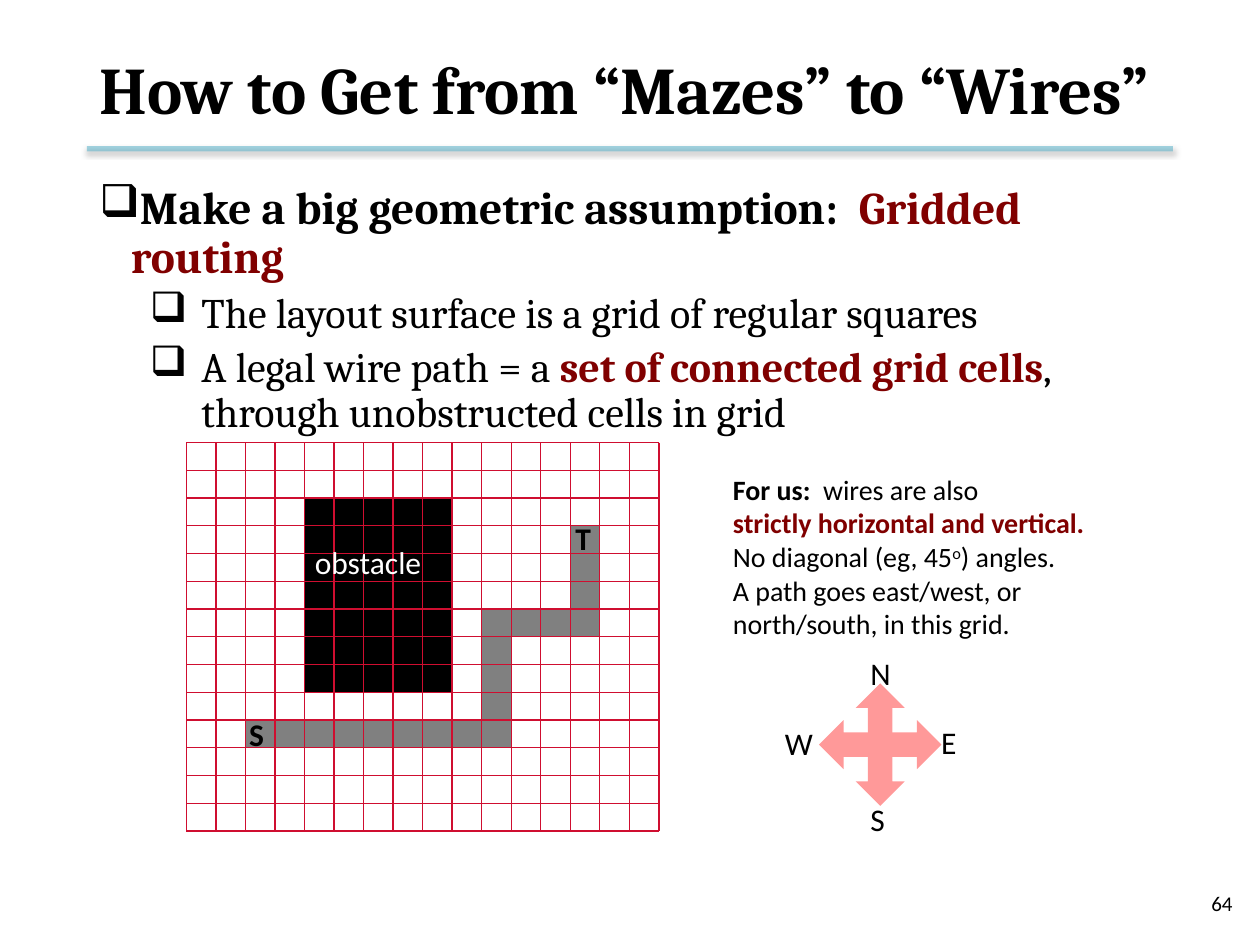
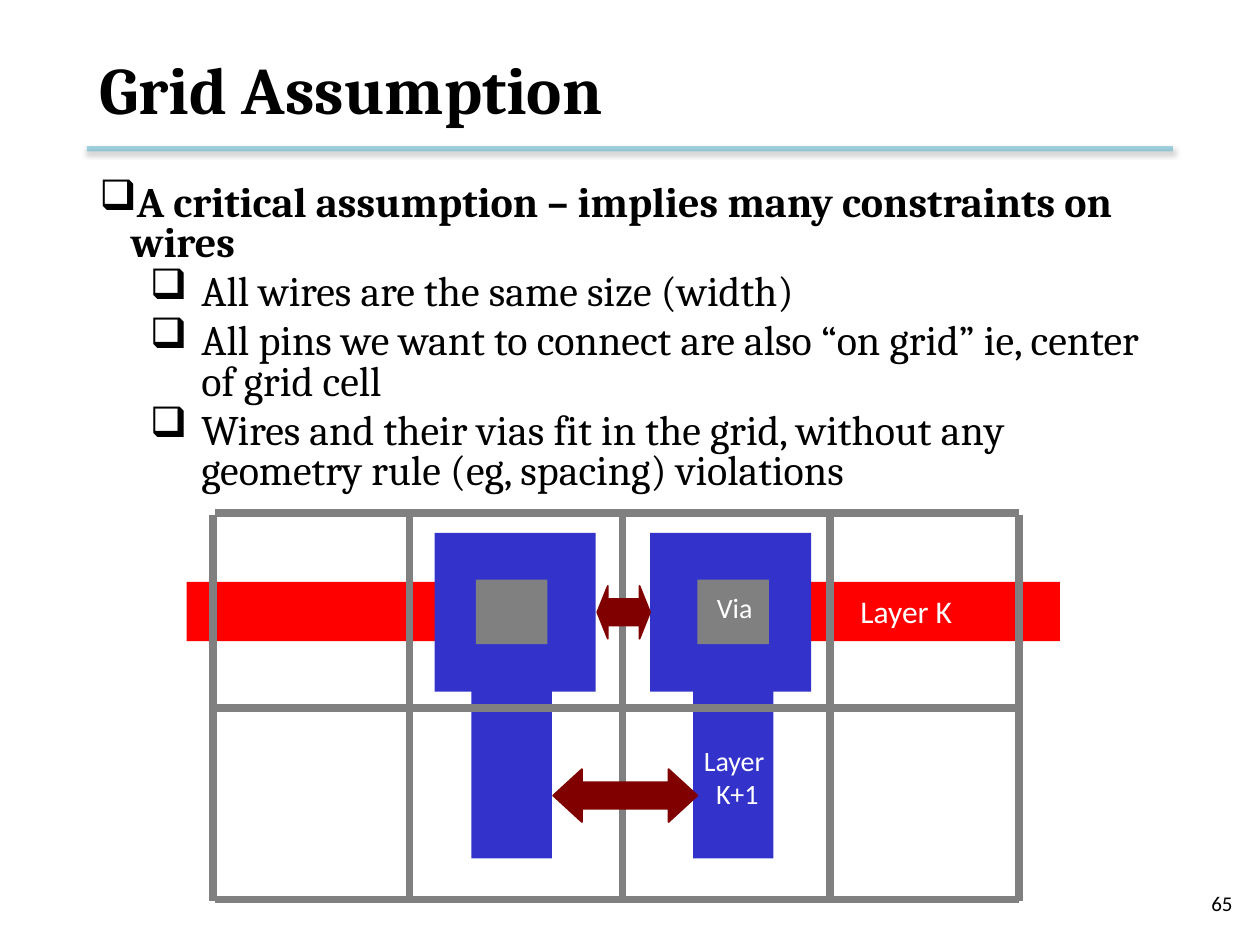
import pptx
import pptx.dml.color
import pptx.enum.shapes
import pptx.enum.text
import pptx.oxml.ns
import pptx.util
from lxml import etree

Pt = pptx.util.Pt
RGBColor = pptx.dml.color.RGBColor
SHAPE = pptx.enum.shapes.MSO_SHAPE
ALIGN = pptx.enum.text.PP_ALIGN
ANCHOR = pptx.enum.text.MSO_ANCHOR
qn = pptx.oxml.ns.qn

BLACK = RGBColor(0x00, 0x00, 0x00)
WHITE = RGBColor(0xFF, 0xFF, 0xFF)
MAROON = RGBColor(0x80, 0x00, 0x00)
GRAY = RGBColor(0x80, 0x80, 0x80)
CRIMSON = RGBColor(0xCF, 0x0E, 0x30)
PINK = RGBColor(0xFF, 0x99, 0x99)
RED = RGBColor(0xFF, 0x00, 0x00)
BLUE = RGBColor(0x33, 0x33, 0xCC)
TEAL = RGBColor(0x4B, 0xAC, 0xC6)

HEADING_FONT = "Cambria"
LABEL_FONT = "Calibri"
MARGIN = 49.7
CONTENT_WIDTH = 620.6
# Left margin and first-line indent of each bullet level
BULLET_INDENTS = [(18, -32.4), (58.3, -29.5)]


def style_font(font, name, size, color=BLACK, bold=False):
    font.name = name
    font.size = Pt(size)
    font.bold = bold
    font.color.rgb = color


def add_spans(para, spans, name, size):
    """Append (text, colour, bold) spans to a paragraph."""
    for text, color, bold in spans:
        span = para.add_run()
        span.text = text
        style_font(span.font, name, size, color, bold)


def add_box(page, left, top, width, height):
    box = page.shapes.add_textbox(Pt(left), Pt(top), Pt(width), Pt(height))
    box.text_frame.word_wrap = True
    return box


def add_label(page, left, top, width, text, size=18, color=BLACK, bold=False,
              align=ALIGN.LEFT):
    lines = text.split("\n")
    box = add_box(page, left, top, width, 7.2 + 1.22 * size * len(lines))
    box.text_frame.text = text
    for para in box.text_frame.paragraphs:
        para.alignment = align
        style_font(para.runs[0].font, LABEL_FONT, size, color, bold)
    return box


def add_block(page, left, top, width, height, fill, kind=SHAPE.RECTANGLE,
              line=None, line_width=0.75):
    block = page.shapes.add_shape(kind, Pt(left), Pt(top), Pt(width), Pt(height))
    block.shadow.inherit = False
    block.fill.solid()
    block.fill.fore_color.rgb = fill
    if line is None:
        block.line.fill.background()
    else:
        block.line.color.rgb = line
        block.line.width = Pt(line_width)
    return block


def add_line(page, start, end, color, width):
    line = page.shapes.add_connector(
        pptx.enum.shapes.MSO_CONNECTOR.STRAIGHT,
        Pt(start[0]), Pt(start[1]), Pt(end[0]), Pt(end[1]))
    line.line.color.rgb = color
    line.line.width = Pt(width)
    etree.SubElement(line._element.spPr, qn("a:effectLst"))
    return line


def add_title_rule(page):
    """Half-transparent line with a soft shadow under the title."""
    rule = add_line(page, (MARGIN, 85), (MARGIN + CONTENT_WIDTH, 85), TEAL, 3)
    properties = rule._element.spPr
    line_color = properties.find(".//" + qn("a:srgbClr"))
    etree.SubElement(line_color, qn("a:alpha"), val="50000")
    shadow = etree.SubElement(
        properties.find(qn("a:effectLst")), qn("a:outerShdw"),
        blurRad=str(Pt(3.1)), dist=str(Pt(1.6)), dir="5400000", rotWithShape="0")
    shadow_color = etree.SubElement(shadow, qn("a:srgbClr"), val="000000")
    etree.SubElement(shadow_color, qn("a:alpha"), val="38000")


def add_page(deck, title_text, number):
    """Title-only slide with the shared title, rule and page number."""
    page = deck.slides.add_slide(deck.slide_layouts[5])
    add_title_rule(page)
    title = page.shapes.title
    title.left, title.top = Pt(MARGIN), Pt(12.2)
    title.width, title.height = Pt(CONTENT_WIDTH), Pt(76.3)
    title.text_frame.text = title_text
    title.text_frame.vertical_anchor = ANCHOR.MIDDLE
    para = title.text_frame.paragraphs[0]
    para.alignment = ALIGN.LEFT
    style_font(para.runs[0].font, HEADING_FONT, 38, bold=True)
    footer = add_label(page, 543.6, 501.8, 167.8, str(number), 12,
                       align=ALIGN.RIGHT)
    footer.height = Pt(28.8)
    footer.text_frame.vertical_anchor = ANCHOR.MIDDLE
    return page


def add_bullets(page, height, line_spacing, bullets):
    """Bullets are (level, size, spans)."""
    frame = add_box(page, MARGIN, 102.2, CONTENT_WIDTH, height).text_frame
    for index, (level, size, spans) in enumerate(bullets):
        para = frame.add_paragraph() if index else frame.paragraphs[0]
        para.level = level
        para.line_spacing = line_spacing
        if index:
            para.space_before = Pt(5)
        margin, indent = BULLET_INDENTS[level]
        properties = para._p.get_or_add_pPr()
        properties.set("marL", str(Pt(margin)))
        properties.set("indent", str(Pt(indent)))
        etree.SubElement(properties, qn("a:buChar"), char="❑")
        add_spans(para, spans, HEADING_FONT, size)


def add_routing_grid(page, left, top, width, height):
    columns, rows = 16, 14
    cell_width, cell_height = width / columns, height / rows

    def corner(column, row):
        return left + column * cell_width, top + row * cell_height

    def fill_cells(column, row, across, down, color, line=None):
        add_block(page, *corner(column, row), across * cell_width,
                  down * cell_height, color, line=line)

    fill_cells(4, 2, 5, 7, BLACK, BLACK)
    for wire in [(13, 3, 1, 4), (10, 6, 4, 1), (10, 6, 1, 5), (2, 10, 9, 1)]:
        fill_cells(*wire, GRAY)
    for column in range(columns + 1):
        add_line(page, corner(column, 0), corner(column, rows), CRIMSON, 0.75)
    for row in range(rows + 1):
        add_line(page, corner(0, row), corner(columns, row), CRIMSON, 0.75)
    add_label(page, left + 28.8, top + 152, 26.6, "S", bold=True)
    add_label(page, left + 215.3, top + 40.3, 26.6, "T", bold=True)
    add_label(page, left + 66.3, top + 54, 81.4, "obstacle", color=WHITE)


def add_direction_note(page, left, top):
    frame = add_box(page, left, top, 247.7, 104.4).text_frame
    lines = [
        [("For us: ", BLACK, True), (" wires are also", BLACK, False)],
        [("strictly horizontal and vertical.", MAROON, True)],
        [("No diagonal (eg, 45", BLACK, False), ("o", BLACK, False),
         (") angles.", BLACK, False)],
        [("A path goes east/west, or", BLACK, False)],
        [("north/south, in this grid.", BLACK, False)],
    ]
    for index, spans in enumerate(lines):
        para = frame.add_paragraph() if index else frame.paragraphs[0]
        add_spans(para, spans, LABEL_FONT, 16)
    degree = frame.paragraphs[2].runs[1]
    degree.font._element.set("baseline", "30000")


def add_compass(page, center_x, center_y):
    length, thickness = 70, 28
    for rotation in (0, 90):
        arrow = add_block(page, center_x - thickness / 2, center_y - length / 2,
                          thickness, length, PINK, SHAPE.UP_DOWN_ARROW)
        arrow.rotation = rotation
    for text, dx, dy in [("N", -12.7, -55.4), ("S", -12.7, 28.1),
                         ("E", 27.7, -15.8), ("W", -61.6, -15.1)]:
        add_label(page, center_x + dx, center_y + dy, 32, text)


def add_via_wire(page, left, top, stem_offset):
    """Upper-layer wire: stem, landing pad and via."""
    add_block(page, left + stem_offset, top + 85, 46, 101, BLUE)
    add_block(page, left, top, 92, 90.7, BLUE)
    add_block(page, left + stem_offset + 2.5, top + 26.8, 41, 36.8, GRAY)


def add_spacing_arrow(page, left, top, width, head):
    arrow = add_block(page, left, top, width, 30.2, MAROON,
                      SHAPE.LEFT_RIGHT_ARROW, MAROON, 1)
    arrow.adjustments[0] = 0.5
    arrow.adjustments[1] = head


def add_layer_diagram(page, left, top, width, height):
    for wire_left in (left - 15, left + 337):
        add_block(page, wire_left, top + 39.6, 147, 33.8, RED)
    add_via_wire(page, left + 126.7, top + 11.5, 21)
    add_via_wire(page, left + 249.8, top + 11.5, 24.5)
    for offset in (0, 112.3, 234, 352.8, width):
        add_line(page, (left + offset, top + 1.5),
                 (left + offset, top + height + 0.7), GRAY, 4.5)
    for offset in (0, 111.6, height):
        add_line(page, (left + 1, top + offset),
                 (left + width, top + offset), GRAY, 4.5)
    add_spacing_arrow(page, left + 219.6, top + 41.8, 30.2, 0.2)
    add_spacing_arrow(page, left + 194.4, top + 146.5, 82.4, 0.545)
    add_label(page, left + 362.9, top + 41.8, 77, "Layer K", color=WHITE)
    add_label(page, left + 260.7, top + 128.2, 77.8, "Layer \nK+1", 16, WHITE,
              align=ALIGN.CENTER)
    add_label(page, left + 259.2, top + 41, 77.8, "Via", 16, WHITE,
              align=ALIGN.CENTER)


def build_mazes_page(deck):
    page = add_page(deck, "How to Get from “Mazes” to “Wires”", 64)
    add_bullets(page, 367, 0.9, [
        (0, 26, [("Make a big geometric assumption:  ", BLACK, True),
                 ("Gridded routing", MAROON, True)]),
        (1, 24, [("The layout surface is a grid of regular squares",
                  BLACK, False)]),
        (1, 24, [("A legal wire path = a ", BLACK, False),
                 ("set of connected grid cells", MAROON, True),
                 (", through unobstructed cells in grid", BLACK, False)]),
    ])
    add_routing_grid(page, 106.5, 252.9, 270, 222)
    add_direction_note(page, 411.8, 266.4)
    add_compass(page, 503, 425.5)


def build_assumption_page(deck):
    page = add_page(deck, "Grid Assumption", 65)
    constraints = [
        "All wires are the same size (width)",
        "All pins we want to connect are also “on grid” ie, center of grid cell",
        "Wires and their vias fit in the grid, without any geometry rule "
        "(eg, spacing) violations",
    ]
    claim = "A critical assumption – implies many constraints on wires"
    add_bullets(page, 179.3, 0.8, [(0, 24, [(claim, BLACK, True)])] + [
        (1, 24, [(text, BLACK, False)]) for text in constraints])
    add_layer_diagram(page, 121.7, 293, 460.8, 221)


def main():
    deck = pptx.Presentation()
    deck.slide_width, deck.slide_height = Pt(720), Pt(540)
    build_mazes_page(deck)
    build_assumption_page(deck)
    deck.save("out.pptx")


if __name__ == "__main__":
    main()
